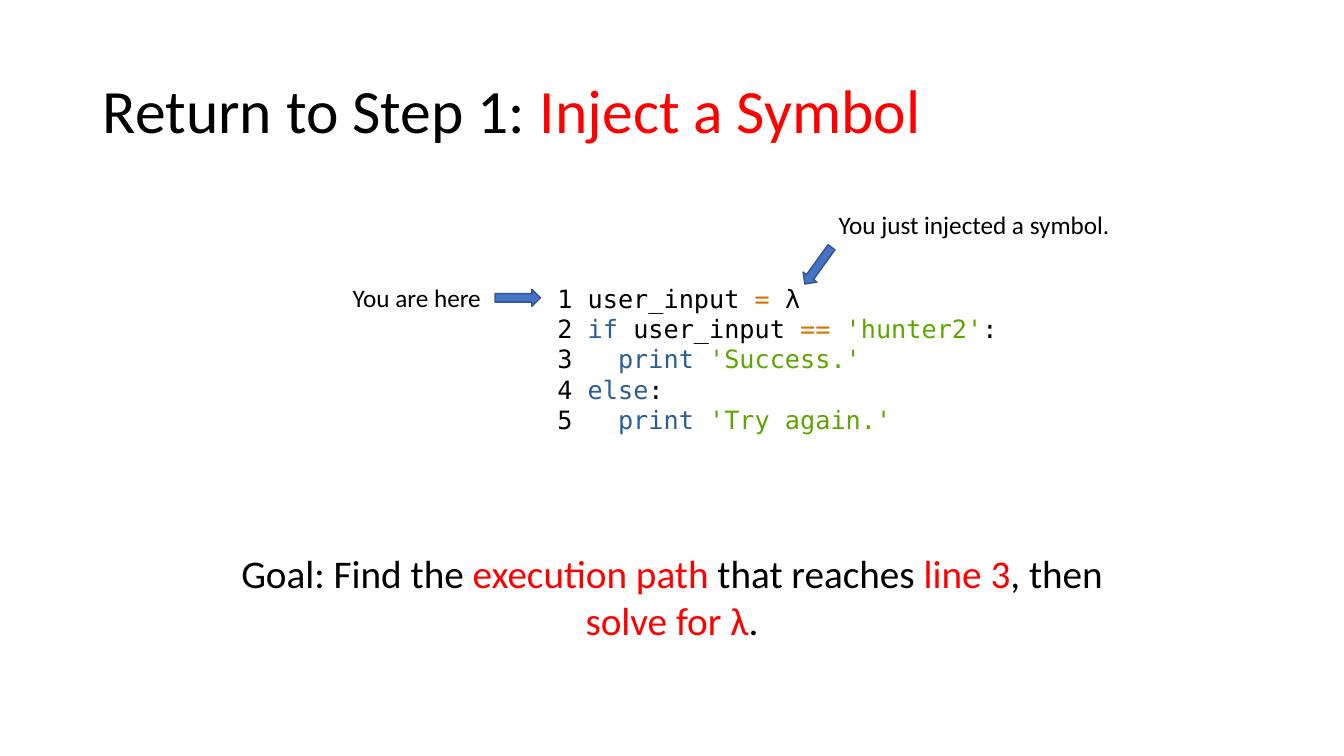
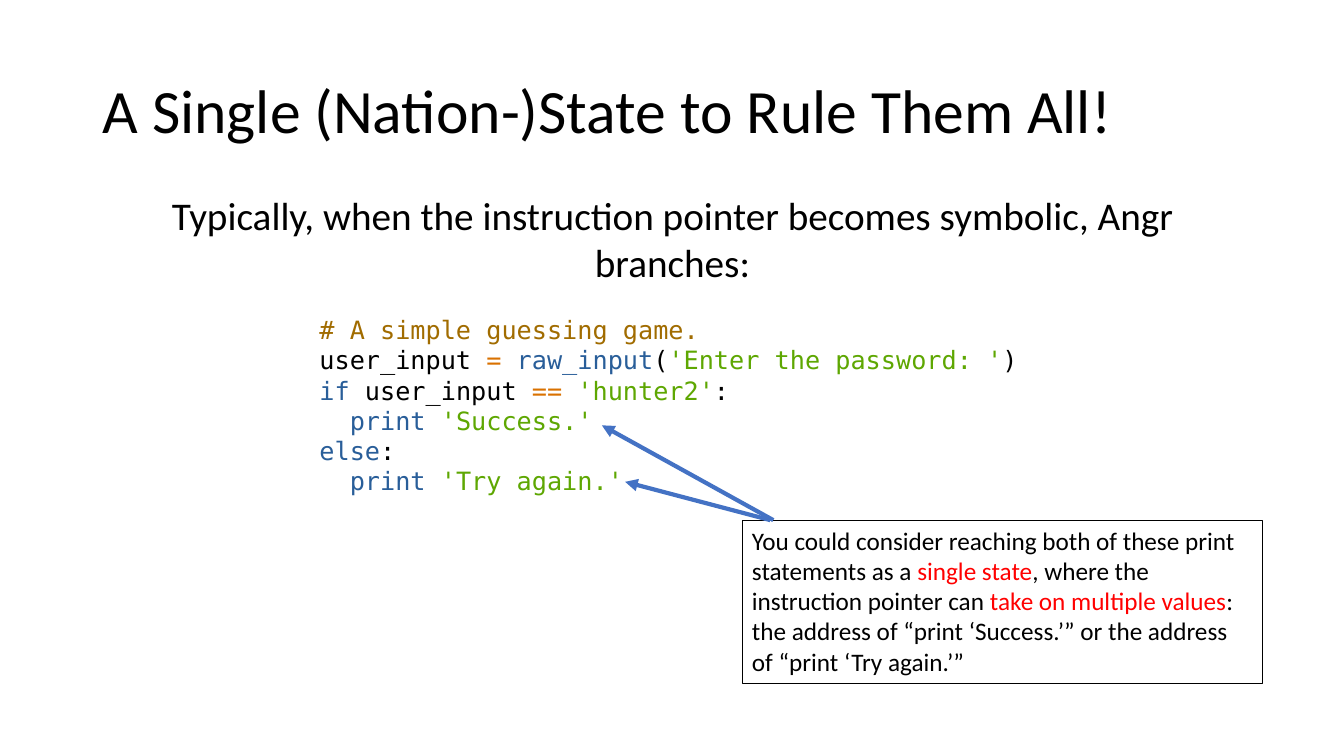
import pptx
import pptx.dml.color
import pptx.enum.shapes
import pptx.enum.text
import pptx.oxml
import pptx.oxml.ns
import pptx.util

RGB = pptx.dml.color.RGBColor
SHAPE = pptx.enum.shapes.MSO_SHAPE
ANCHOR = pptx.enum.text.MSO_ANCHOR
ALIGN = pptx.enum.text.PP_ALIGN
AUTO = pptx.enum.text.MSO_AUTO_SIZE

PX = 9144
BLACK = RGB(0x00, 0x00, 0x00)
RED = RGB(0xFF, 0x00, 0x00)
ACCENT = RGB(0x44, 0x72, 0xC4)
ACCENT_EDGE = RGB(0x32, 0x54, 0x91)
KEYWORD = RGB(0x29, 0x5E, 0x99)
OPERATOR = RGB(0xD9, 0x71, 0x00)
STRING = RGB(0x5E, 0xA7, 0x02)
REMARK = RGB(0xA1, 0x6C, 0x00)

TITLE = {"name": "Calibri", "size": pptx.util.Pt(44)}
BODY = {"name": "Calibri", "size": pptx.util.Pt(28)}
NOTE = {"name": "Calibri", "size": pptx.util.Pt(18)}
CODE = {"name": "DejaVu Sans Mono", "size": pptx.util.Pt(18)}
FITTED = {"word_wrap": True, "auto_size": AUTO.SHAPE_TO_FIT_TEXT}
UNWRAPPED = {"word_wrap": False, "auto_size": AUTO.SHAPE_TO_FIT_TEXT}
CENTERED = {"alignment": ALIGN.CENTER}

TITLE_BOX = (92, 40, 1150, 145)

ASSIGN = [("user_input ", BLACK), ("= ", OPERATOR)]
BRANCHES = [
    [("if ", KEYWORD), ("user_input ", BLACK), ("== ", OPERATOR),
     ("'hunter2'", STRING), (":", BLACK)],
    [("  ", BLACK), ("print ", KEYWORD), ("'Success.'", STRING)],
    [("else", KEYWORD), (":", BLACK)],
    [("  ", BLACK), ("print ", KEYWORD), ("'Try again.'", STRING)],
]


def emu(*lengths):
    return [round(n * PX) for n in lengths]


def apply(target, values):
    for name, value in values.items():
        setattr(target, name, value)


def write(sp, lines, font, frame=FITTED, para=None):
    tf = sp.text_frame
    apply(tf, frame)
    for i, line in enumerate(lines):
        p = tf.add_paragraph() if i else tf.paragraphs[0]
        apply(p, para or {})
        for text, color in line:
            r = p.add_run()
            r.text = text
            apply(r.font, font)
            r.font.color.rgb = color


def add_text(s, box, lines, font, frame=FITTED, para=None):
    write(s.shapes.add_textbox(*emu(*box)), lines, font, frame, para)


def add_title(s, box, runs):
    add_text(s, box, [runs], TITLE,
             {"word_wrap": True, "vertical_anchor": ANCHOR.MIDDLE},
             {"line_spacing": 0.9})


def add_block_arrow(s, box, rotation=0):
    sp = s.shapes.add_shape(SHAPE.RIGHT_ARROW, *emu(*box))
    sp.shadow.inherit = False
    sp.rotation = rotation
    sp.fill.solid()
    sp.fill.fore_color.rgb = ACCENT
    sp.line.color.rgb = ACCENT_EDGE
    sp.line.width = pptx.util.Pt(1)


def add_pointer(s, start, end):
    cn = s.shapes.add_connector(
        pptx.enum.shapes.MSO_CONNECTOR.STRAIGHT, *emu(*start, *end))
    cn.line.color.rgb = ACCENT
    cn.line.width = pptx.util.Pt(3)
    qn = pptx.oxml.ns.qn
    ln = cn.line._get_or_add_ln()
    ln.append(ln.makeelement(qn("a:tailEnd"), {"type": "triangle"}))
    sp_pr = cn._element.spPr
    sp_pr.append(sp_pr.makeelement(qn("a:effectLst"), {}))


def add_callout(s, box, runs):
    sp = s.shapes.add_shape(SHAPE.RECTANGLE, *emu(*box))
    sp.shadow.inherit = False
    sp.fill.background()
    sp.line.color.rgb = BLACK
    sp.line.width = pptx.util.Pt(0.75)
    write(sp, [runs], NOTE, {**FITTED, "vertical_anchor": ANCHOR.TOP},
          {"alignment": ALIGN.LEFT})


def add_annotated_code(s, box):
    x, y, w, h = box
    lines = [ASSIGN + [("λ", BLACK)]] + BRANCHES
    numbered = [[(f"{n} ", BLACK)] + line for n, line in enumerate(lines, 1)]
    add_text(s, box, numbered, CODE)
    add_block_arrow(s, (x - 52, y + 11, 45, 17))
    add_text(s, (x - 203, y - 1, 149, 40),
             [[("You are here", BLACK)]], NOTE, UNWRAPPED)
    add_block_arrow(s, (x + 246, y - 21, 45, 17), 125.8)
    add_text(s, (x + 279, y - 73, 292, 40),
             [[("You just injected a symbol.", BLACK)]], NOTE, UNWRAPPED)


def add_branching_code(s, box):
    x, y, w, h = box
    lines = [
        [("# A simple guessing game.", REMARK)],
        ASSIGN + [("raw_input", KEYWORD), ("(", BLACK),
                  ("'Enter the password: '", STRING), (")", BLACK)],
    ] + BRANCHES
    add_text(s, box, lines, CODE)
    left, top = x + 429, y + 209
    add_callout(s, (left, top, 516, 162), [
        ("You could consider reaching both of these print statements as a ",
         BLACK),
        ("single state", RED),
        (", where the instruction pointer can ", BLACK),
        ("take on multiple values", RED),
        (": the address of “print ‘Success.’” or the address of "
         "“print ‘Try again.’”", BLACK),
    ])
    add_pointer(s, (left + 31, top), (x + 290, y + 115))
    add_pointer(s, (left + 28, top), (x + 313, y + 171))


def build_symbol_slide(s):
    add_title(s, TITLE_BOX, [("Return to Step 1: ", BLACK),
                             ("Inject a Symbol", RED)])
    add_annotated_code(s, (543, 276, 466, 162))
    goal = [("Goal: Find the ", BLACK), ("execution path ", RED),
            ("that reaches ", BLACK), ("line 3", RED), (", then ", BLACK),
            ("solve for λ", RED), (".", BLACK)]
    add_text(s, (201, 540, 931, 104), [goal], BODY, para=CENTERED)


def build_state_slide(s):
    add_title(s, TITLE_BOX,
              [("A Single (Nation-)State to Rule Them All!", BLACK)])
    intro = [("Typically, when the instruction pointer becomes symbolic, "
              "Angr branches:", BLACK)]
    add_text(s, (92, 185, 1150, 104), [intro], BODY, para=CENTERED)
    add_branching_code(s, (307, 307, 720, 192))


def main():
    prs = pptx.Presentation()
    prs.slide_width, prs.slide_height = emu(1333, 750)
    for build in (build_symbol_slide, build_state_slide):
        build(prs.slides.add_slide(prs.slide_layouts[6]))
    prs.save("out.pptx")


if __name__ == "__main__":
    main()
